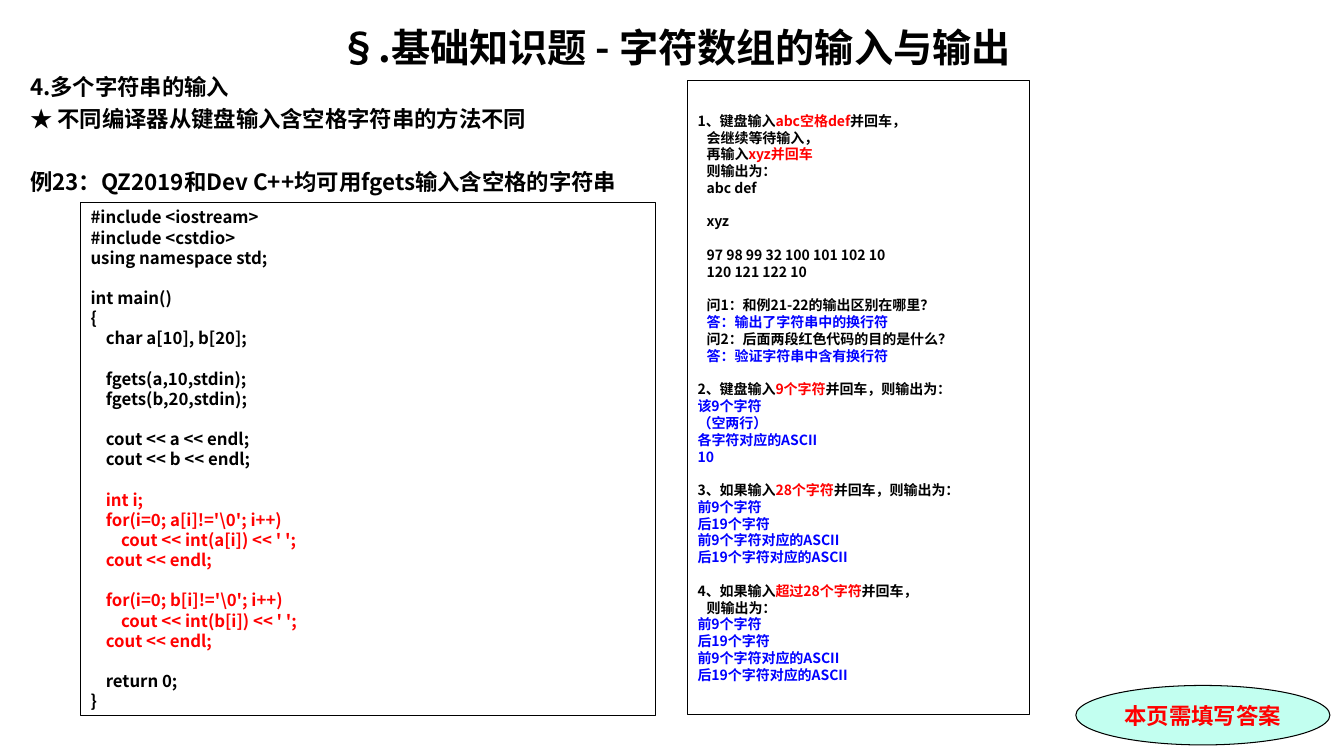
from dataclasses import dataclass

import pptx
import pptx.dml.color
import pptx.enum.shapes
import pptx.enum.text
import pptx.oxml
import pptx.oxml.ns
import pptx.util
from pptx.dml.color import RGBColor
from pptx.enum.shapes import MSO_SHAPE
from pptx.enum.text import MSO_ANCHOR, PP_ALIGN
from pptx.util import Inches

BLACK = RGBColor(0, 0, 0)
RED = RGBColor(255, 0, 0)
BLUE = RGBColor(0, 0, 255)
MINT = RGBColor(0xC2, 0xFF, 0xF0)
SANS = "Noto Sans CJK SC"
LINE_HEIGHT = 1.2  # line pitch as a multiple of the text size


@dataclass(frozen=True)
class Span:
    text: str
    color: RGBColor = BLACK


@dataclass(frozen=True)
class Line:
    spans: tuple[Span, ...]
    gap: bool = False  # one empty line above
    indent: float = 0


def plain(text: str, color: RGBColor = BLACK, gap: bool = False, indent: float = 0) -> Line:
    return Line((Span(text, color),), gap, indent)


def marked(before: str, red: str, after: str = "", gap: bool = False, indent: float = 0) -> Line:
    return Line((Span(before), Span(red, RED), Span(after)), gap, indent)


def write_text(frame, lines: list[Line], *, size: float, font: str = SANS,
               align: PP_ALIGN = PP_ALIGN.LEFT, anchor: MSO_ANCHOR = MSO_ANCHOR.MIDDLE,
               inset: float = 0.1, spacing: float = 0) -> None:
    frame.word_wrap = True
    frame.vertical_anchor = anchor
    frame.margin_left = frame.margin_right = Inches(inset)
    frame.margin_top = frame.margin_bottom = 0
    for number, line in enumerate(lines):
        paragraph = frame.paragraphs[0] if number == 0 else frame.add_paragraph()
        paragraph.alignment = align
        paragraph.line_spacing = pptx.util.Pt(size * LINE_HEIGHT)
        if number:
            skipped = size * LINE_HEIGHT + spacing if line.gap else 0
            paragraph.space_before = pptx.util.Pt(spacing + skipped)
        if line.indent:
            properties = paragraph._p.get_or_add_pPr()
            properties.set("marL", str(Inches(line.indent)))
            properties.set("indent", "0")
        for span in line.spans:
            if not span.text:
                continue
            run = paragraph.add_run()
            run.text = span.text
            run.font.name = font
            run.font.size = pptx.util.Pt(size)
            run.font.bold = True
            run.font.color.rgb = span.color
            east_asian = pptx.oxml.parse_xml(
                f'<a:ea {pptx.oxml.ns.nsdecls("a")} typeface="{SANS}"/>')
            run.font._element.find(pptx.oxml.ns.qn("a:latin")).addnext(east_asian)


def add_panel(slide, kind: MSO_SHAPE, left: float, top: float, width: float, height: float,
              fill: RGBColor | None = None):
    panel = slide.shapes.add_shape(kind, Inches(left), Inches(top), Inches(width), Inches(height))
    panel.shadow.inherit = False
    if fill is None:
        panel.fill.background()
    else:
        panel.fill.solid()
        panel.fill.fore_color.rgb = fill
    panel.line.color.rgb = BLACK
    panel.line.width = pptx.util.Pt(0.75)
    return panel.text_frame


def code_lines(source: str, color: RGBColor) -> list[Line]:
    """Turn each empty source line into a gap above the next line."""
    rows = source.split("\n")
    return [plain(row, color, gap=index > 0 and not rows[index - 1])
            for index, row in enumerate(rows) if row]


CODE_START = r"""#include <iostream>
#include <cstdio>
using namespace std;

int main()
{
    char a[10], b[20];

    fgets(a,10,stdin);
    fgets(b,20,stdin);

    cout << a << endl;
    cout << b << endl;"""

CODE_CHECK = r"""
    int i;
    for(i=0; a[i]!='\0'; i++)
        cout << int(a[i]) << ' ';
    cout << endl;

    for(i=0; b[i]!='\0'; i++)
        cout << int(b[i]) << ' ';
    cout << endl;"""

CODE_END = """
    return 0;
}"""

HEADINGS = [
    plain("4.多个字符串的输入"),
    plain("★ 不同编译器从键盘输入含空格字符串的方法不同"),
    plain("例23：QZ2019和Dev C++均可用fgets输入含空格的字符串", gap=True),
]

STEP = 0.09  # indent of the lines under a numbered item
SPLIT_OUTPUT = [plain(text, BLUE) for text in (
    "前9个字符", "后19个字符", "前9个字符对应的ASCII", "后19个字符对应的ASCII")]

ANSWERS = [
    marked("1、键盘输入", "abc空格def", "并回车，"),
    plain("会继续等待输入，", indent=STEP),
    marked("再输入", "xyz并回车", indent=STEP),
    plain("则输出为：", indent=STEP),
    plain("abc def", indent=STEP),
    plain("xyz", gap=True, indent=STEP),
    plain("97 98 99 32 100 101 102 10", gap=True, indent=STEP),
    plain("120 121 122 10", indent=STEP),
    plain("问1：和例21-22的输出区别在哪里？", gap=True, indent=STEP),
    plain("答：输出了字符串中的换行符", BLUE, indent=STEP),
    plain("问2：后面两段红色代码的目的是什么？", indent=STEP),
    plain("答：验证字符串中含有换行符", BLUE, indent=STEP),
    marked("2、键盘输入", "9个字符", "并回车，则输出为：", gap=True),
    *(plain(text, BLUE) for text in ("该9个字符", "（空两行）", "各字符对应的ASCII", "10")),
    marked("3、如果输入", "28个字符", "并回车，则输出为：", gap=True),
    *SPLIT_OUTPUT,
    marked("4、如果输入", "超过28个字符", "并回车，", gap=True),
    plain("则输出为：", indent=STEP),
    *SPLIT_OUTPUT,
]


def main() -> None:
    deck = pptx.Presentation()
    deck.slide_width, deck.slide_height = Inches(13.33), Inches(7.5)
    slide = deck.slides.add_slide(deck.slide_layouts[5])

    # Title and headings
    title = slide.shapes.title
    title.left, title.top = Inches(0.2), Inches(0.18)
    title.width, title.height = Inches(12.99), Inches(0.57)
    write_text(title.text_frame, [plain("§.基础知识题 - 字符数组的输入与输出")],
               size=28, align=PP_ALIGN.CENTER)
    headings = slide.shapes.add_textbox(Inches(0.2), Inches(0.73), Inches(6.6), Inches(1.25))
    write_text(headings.text_frame, HEADINGS, size=16, anchor=MSO_ANCHOR.TOP, spacing=3.2)

    # Reminder badge
    reminder = add_panel(slide, MSO_SHAPE.OVAL, 10.67, 6.8, 2.52, 0.59, MINT)
    write_text(reminder, [plain("本页需填写答案", RED)], size=16,
               font="Times New Roman", align=PP_ALIGN.CENTER, inset=0)

    # Program listing
    listing = add_panel(slide, MSO_SHAPE.RECTANGLE, 0.8, 2.01, 5.7, 5.09)
    program = (code_lines(CODE_START, BLACK) + code_lines(CODE_CHECK, RED)
               + code_lines(CODE_END, BLACK))
    write_text(listing, program, size=12)

    # Questions and answers
    answers = add_panel(slide, MSO_SHAPE.RECTANGLE, 6.82, 0.8, 3.39, 6.29)
    write_text(answers, ANSWERS, size=10)

    deck.save("out.pptx")


if __name__ == "__main__":
    main()
